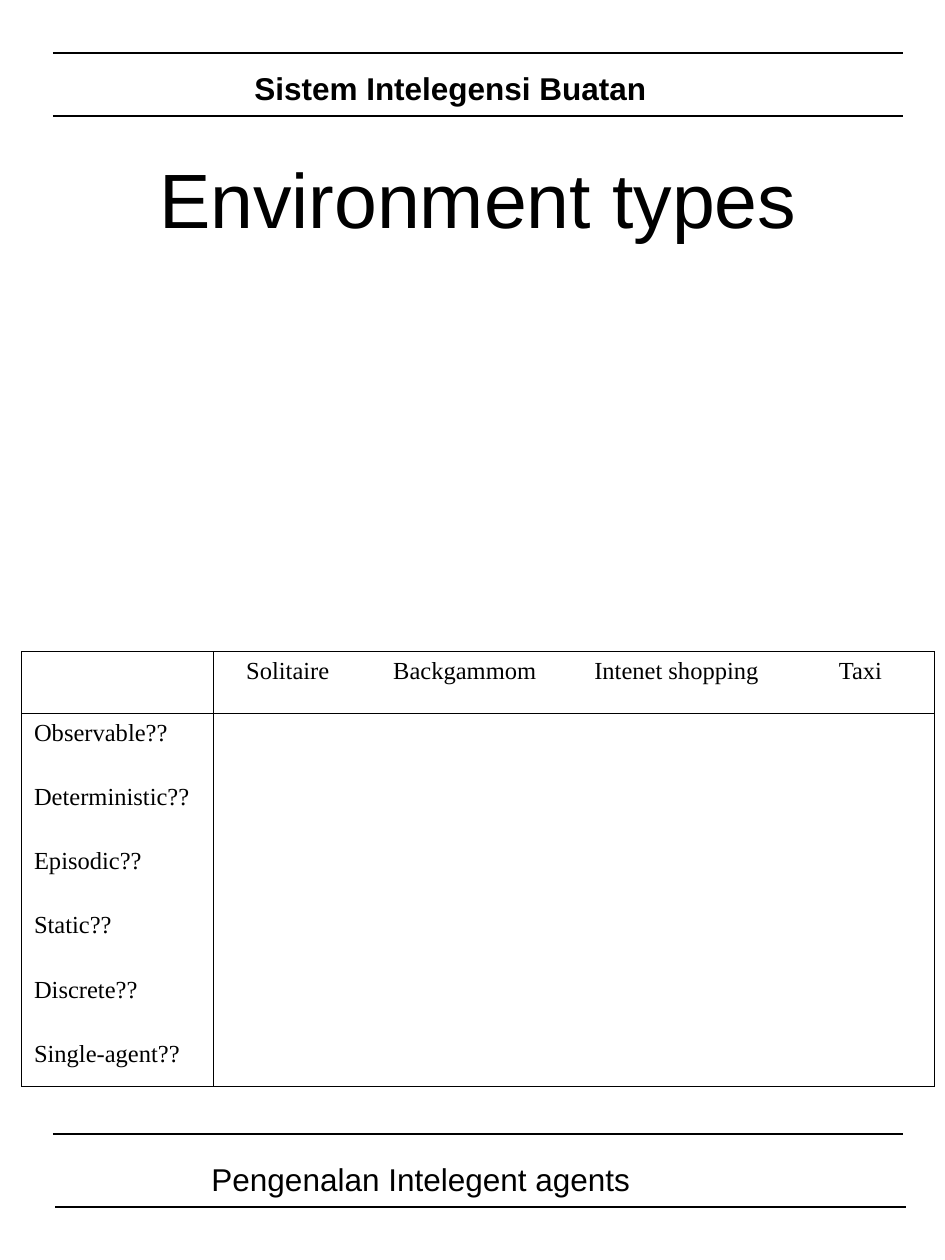
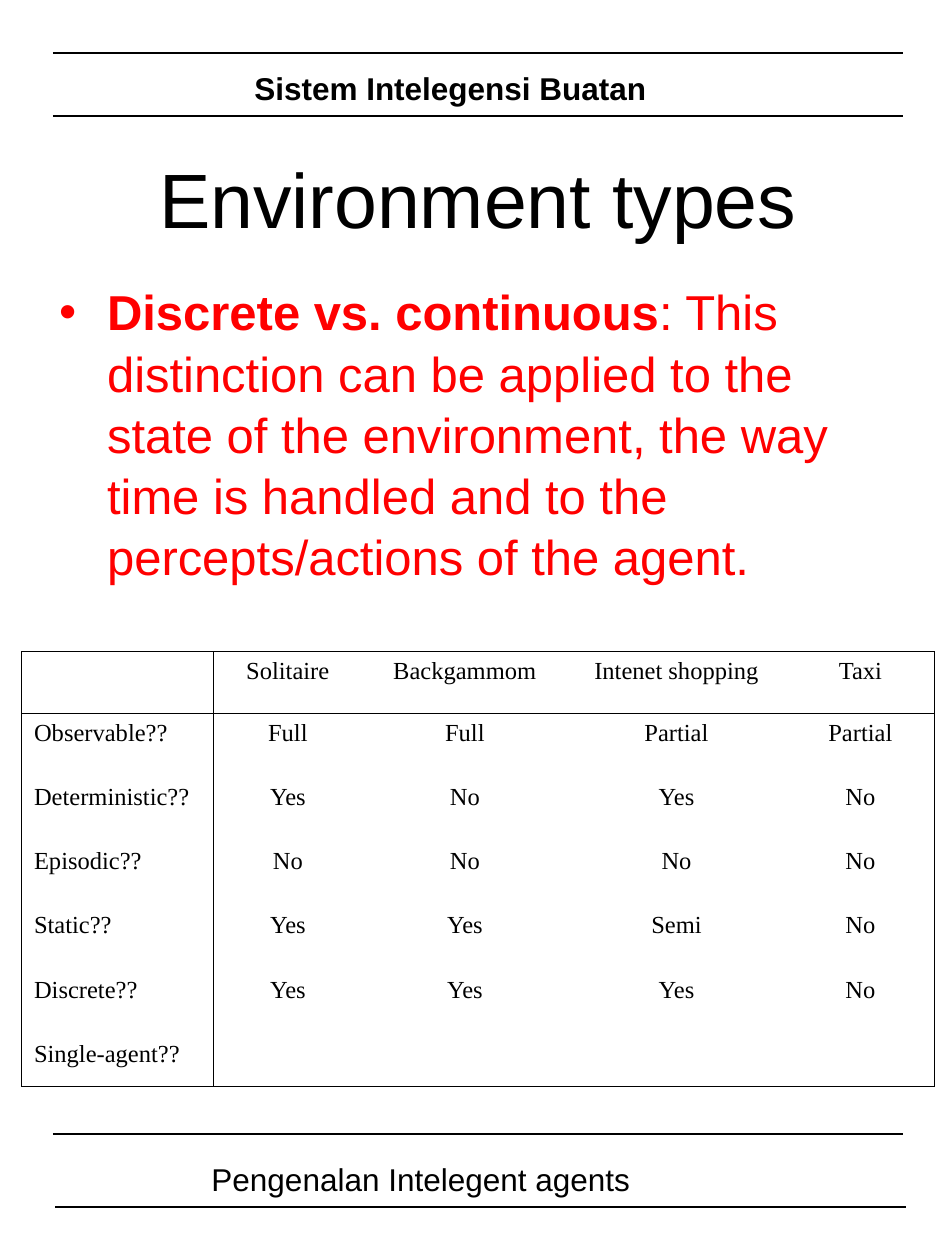
from collections import namedtuple

from lxml.etree import SubElement
from pptx import Presentation
from pptx.dml.color import RGBColor
from pptx.enum.shapes import MSO_CONNECTOR
from pptx.enum.text import MSO_ANCHOR, PP_ALIGN
from pptx.oxml.ns import qn
from pptx.util import Inches, Pt

BLACK = RGBColor(0x00, 0x00, 0x00)
RED = RGBColor(0xFF, 0x00, 0x00)
SANS = "Arial"
SERIF = "Times New Roman"

Box = namedtuple("Box", "left top width height")
HEADER_BOX = Box(0.42, 0.42, 6.75, 0.5)
TITLE_BOX = Box(0.42, 1.08, 6.75, 0.98)
BODY_BOX = Box(0.38, 2.17, 6.37, 2.75)
TABLE_BOX = Box(0.17, 5.17, 7.25, 3.46)
FOOTER_BOX = Box(0.42, 9, 6.75, 0.58)

COLUMN_WIDTHS = [1.52, 1.19, 1.62, 1.74, 1.18]
ROW_HEIGHTS = [0.49] + [0.51] * 5 + [0.41]
ENVIRONMENTS = ["Solitaire", "Backgammom", "Intenet shopping", "Taxi"]
PROPERTIES = ["Observable??", "Deterministic??", "Episodic??",
              "Static??", "Discrete??", "Single-agent??"]
ANSWERS = [
    ["Full", "Full", "Partial", "Partial"],
    ["Yes", "No", "Yes", "No"],
    ["No", "No", "No", "No"],
    ["Yes", "Yes", "Semi", "No"],
    ["Yes", "Yes", "Yes", "No"],
]
DISCRETE_TERM = "Discrete vs. continuous"
DISCRETE_TEXT = (": This distinction can be applied to the state of the environment, "
                 "the way time is handled and to the percepts/actions of the agent.")


def add_run(paragraph, text, size, font=SANS, color=BLACK, bold=False):
    run = paragraph.add_run()
    run.text = text
    run.font.name = font
    run.font.size = Pt(size)
    run.font.bold = bold
    run.font.color.rgb = color


def add_text_box(slide, box, anchor=MSO_ANCHOR.TOP):
    """Add an empty wrapping text box and return its text frame."""
    frame = slide.shapes.add_textbox(*map(Inches, box)).text_frame
    frame.word_wrap = True
    frame.vertical_anchor = anchor
    return frame


def add_rule(slide, left, top, width):
    """Add a thin horizontal line."""
    rule = slide.shapes.add_connector(
        MSO_CONNECTOR.STRAIGHT, Inches(left), Inches(top), Inches(left + width), Inches(top))
    rule.line.color.rgb = BLACK
    rule.line.width = Pt(0.75)
    SubElement(rule._element.spPr, qn("a:effectLst"))


def add_band(slide, box, text, text_box, bold=False, bottom_shift=0):
    """Add a line of text between two rules; text_box is relative to box."""
    add_rule(slide, box.left, box.top, box.width)
    add_rule(slide, box.left + bottom_shift, box.top + box.height, box.width)
    frame = add_text_box(slide, Box(box.left + text_box.left, box.top + text_box.top,
                                    text_box.width, text_box.height))
    add_run(frame.paragraphs[0], text, 18, bold=bold)


def add_title(slide, box, text):
    paragraph = add_text_box(slide, box, MSO_ANCHOR.MIDDLE).paragraphs[0]
    paragraph.alignment = PP_ALIGN.CENTER
    add_run(paragraph, text, 44)


def add_bullet(slide, box, term, text):
    """Add a red bullet that opens with a bold term."""
    frame = add_text_box(slide, box)
    frame.margin_left = Inches(0.09)
    paragraph = frame.paragraphs[0]
    paragraph.line_spacing = 1.04
    properties = paragraph._p.get_or_add_pPr()
    properties.set("marL", str(Inches(0.38)))
    properties.set("indent", str(-Inches(0.38)))
    color = SubElement(properties, qn("a:buClr"))
    SubElement(color, qn("a:srgbClr"), val=str(RED))
    SubElement(properties, qn("a:buFont"), typeface=SANS)
    SubElement(properties, qn("a:buChar"), char="•")
    add_run(paragraph, term, 28, color=RED, bold=True)
    add_run(paragraph, text, 28, color=RED)


def set_borders(cell, visible):
    """Draw the sides named in visible and clear the other ones."""
    properties = cell._tc.get_or_add_tcPr()
    for side in "LRTB":
        line = SubElement(properties, qn(f"a:ln{side}"), w=str(Pt(0.45)))
        if side in visible:
            fill = SubElement(line, qn("a:solidFill"))
            SubElement(fill, qn("a:srgbClr"), val=str(BLACK))
        else:
            SubElement(line, qn("a:noFill"))


def visible_sides(row, column):
    """Outer frame, a rule below the header row and one beside the first column."""
    last_row, last_column = len(ROW_HEIGHTS) - 1, len(COLUMN_WIDTHS) - 1
    rules = {"L": column in (0, 1), "R": column in (0, last_column),
             "T": row in (0, 1), "B": row in (0, last_row)}
    return [side for side, shown in rules.items() if shown]


def add_environment_table(slide, box, answers):
    """Add the table of properties by environment; missing answers stay empty."""
    table = slide.shapes.add_table(
        len(ROW_HEIGHTS), len(COLUMN_WIDTHS), *map(Inches, box)).table
    table.first_row = table.horz_banding = False
    for column, width in zip(table.columns, COLUMN_WIDTHS):
        column.width = Inches(width)
    for row, height in zip(table.rows, ROW_HEIGHTS):
        row.height = Inches(height)

    texts = {(0, column): name for column, name in enumerate(ENVIRONMENTS, 1)}
    texts.update({(row, 0): name for row, name in enumerate(PROPERTIES, 1)})
    texts.update({(row, column): answer for row, line in enumerate(answers, 1)
                  for column, answer in enumerate(line, 1)})

    for row in range(len(ROW_HEIGHTS)):
        for column in range(len(COLUMN_WIDTHS)):
            cell = table.cell(row, column)
            set_borders(cell, visible_sides(row, column))
            cell.fill.background()
            if (row, column) in texts:
                paragraph = cell.text_frame.paragraphs[0]
                paragraph.alignment = PP_ALIGN.CENTER if column else PP_ALIGN.LEFT
                add_run(paragraph, texts[row, column], 14, SERIF)


def add_environment_slide(presentation, answers=(), bullet=None):
    slide = presentation.slides.add_slide(presentation.slide_layouts[6])
    # Header and footer bands
    add_band(slide, HEADER_BOX, "Sistem Intelegensi Buatan",
             Box(1.5, 0.08, 3.42, 0.4), bold=True)
    add_band(slide, FOOTER_BOX, "Pengenalan Intelegent agents",
             Box(1.16, 0.16, 4.25, 0.4), bottom_shift=0.02)
    # Content
    add_title(slide, TITLE_BOX, "Environment types")
    if bullet:
        add_bullet(slide, BODY_BOX, *bullet)
    add_environment_table(slide, TABLE_BOX, answers)


def main():
    presentation = Presentation()
    presentation.slide_width = Inches(7.5)
    presentation.slide_height = Inches(10)
    add_environment_slide(presentation)
    add_environment_slide(presentation, ANSWERS, (DISCRETE_TERM, DISCRETE_TEXT))
    presentation.save("out.pptx")


if __name__ == "__main__":
    main()
